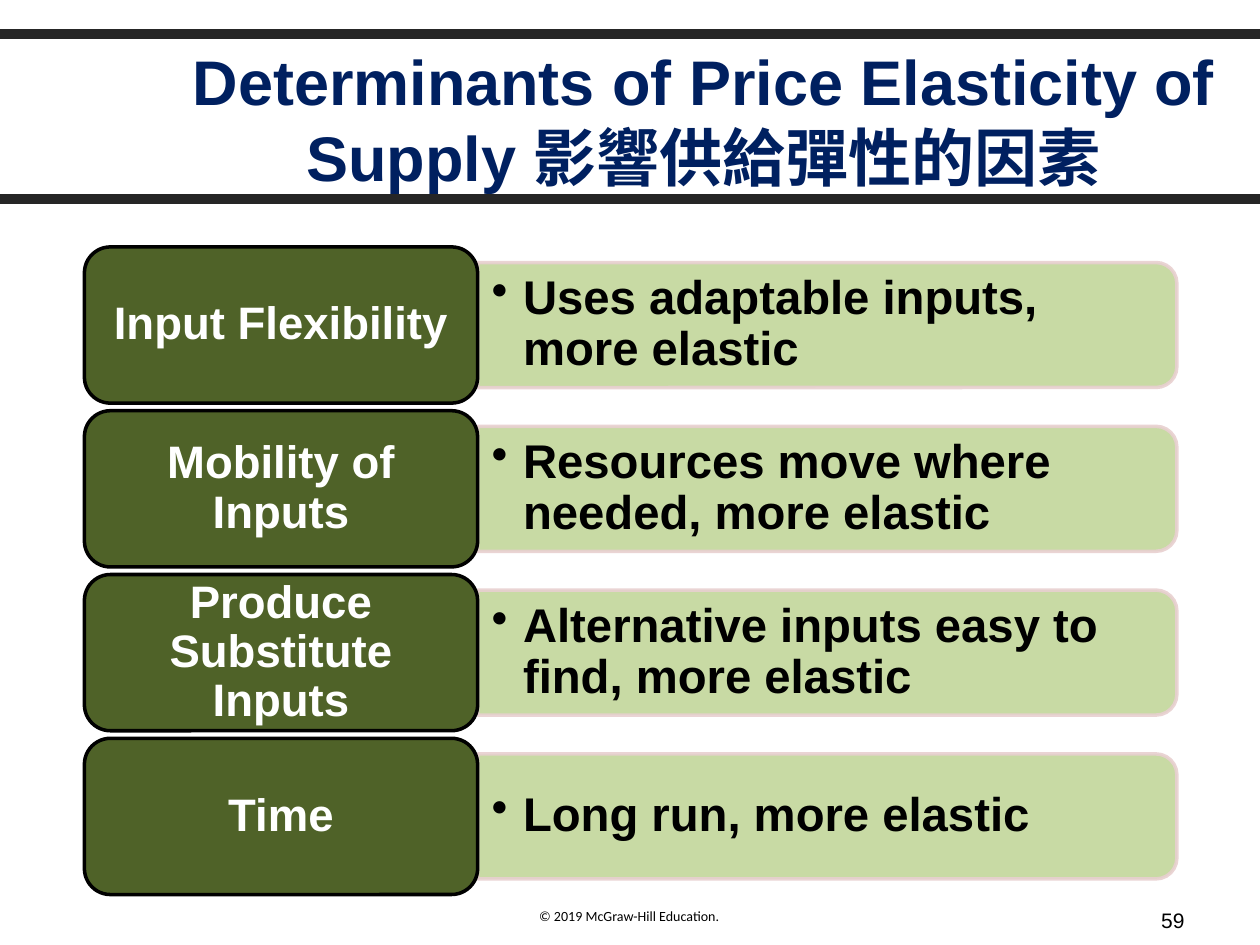
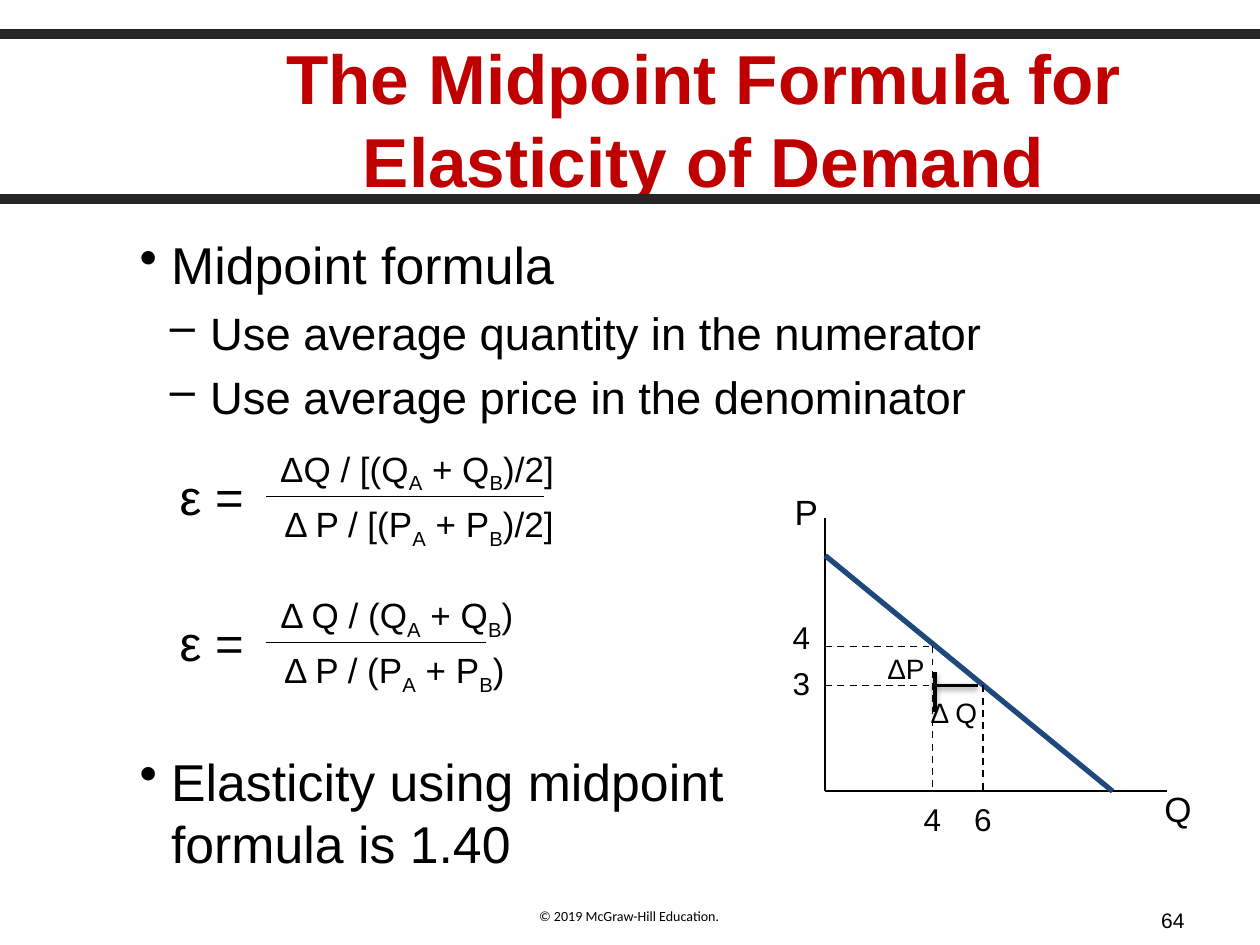
from lxml.etree import SubElement
from pptx import Presentation
from pptx.dml.color import RGBColor
from pptx.enum.dml import MSO_LINE
from pptx.enum.shapes import MSO_CONNECTOR, MSO_SHAPE
from pptx.enum.text import MSO_ANCHOR, MSO_AUTO_SIZE, PP_ALIGN
from pptx.oxml.ns import qn
from pptx.util import Inches, Pt

BLACK = "000000"
WHITE = "FFFFFF"
BAND = "262626"
NAVY = "002060"
RED = "C00000"
LABEL_GREEN = "4F6228"
PANEL_GREEN = "C3D69B"
PANEL_EDGE = "E8D0D0"
DEMAND_BLUE = "1F497D"
COPYRIGHT = "© 2019 McGraw-Hill Education."


def rgb(value):
    return RGBColor.from_string(value)


def style_font(paragraph, size, color=BLACK, bold=False, name="Arial"):
    font = paragraph.font
    font.name = name
    font.size = Pt(size)
    font.bold = bold
    font.color.rgb = rgb(color)


def add_bullet(paragraph, character, margin, hanging):
    properties = paragraph._p.get_or_add_pPr()
    properties.set("marL", str(Inches(margin)))
    properties.set("indent", str(-Inches(hanging)))
    SubElement(properties, qn("a:buChar")).set("char", character)


def set_insets(frame, horizontal, vertical):
    frame.margin_left = frame.margin_right = Inches(horizontal)
    frame.margin_top = frame.margin_bottom = Inches(vertical)


def add_text(slide, box, text, size, align=PP_ALIGN.CENTER, wrap=True,
             anchor=MSO_ANCHOR.TOP, name="Arial"):
    shape = slide.shapes.add_textbox(*map(Inches, box))
    frame = shape.text_frame
    frame.word_wrap = wrap
    frame.vertical_anchor = anchor
    paragraph = frame.paragraphs[0]
    paragraph.text = text
    paragraph.alignment = align
    style_font(paragraph, size, name=name)
    return paragraph


def add_line(slide, start, end, color=BLACK, width=1, dashed=False, shadow=False):
    line = slide.shapes.add_connector(
        MSO_CONNECTOR.STRAIGHT, *map(Inches, (*start, *end)))
    line.line.color.rgb = rgb(color)
    line.line.width = Pt(width)
    if dashed:
        line.line.dash_style = MSO_LINE.DASH
    effects = SubElement(line._element.spPr, qn("a:effectLst"))
    if shadow:
        outer = SubElement(effects, qn("a:outerShdw"), blurRad=str(Pt(3.1)),
                           dist=str(Pt(1.6)), dir="5400000", rotWithShape="0")
        tint = SubElement(outer, qn("a:srgbClr"), val=BLACK)
        SubElement(tint, qn("a:alpha"), val="38000")


def add_block(slide, kind, box, fill, edge):
    shape = slide.shapes.add_shape(kind, *map(Inches, box))
    shape.shadow.inherit = False
    shape.fill.solid()
    shape.fill.fore_color.rgb = rgb(fill)
    shape.line.color.rgb = rgb(edge)
    shape.line.width = Pt(2)
    return shape


def start_slide(presentation, title, color, size, number):
    slide = presentation.slides.add_slide(presentation.slide_layouts[5])
    for top in (1.58, 0.27):
        add_line(slide, (0, top), (10, top), BAND, 5.5)
    placeholder = slide.shapes.title
    placeholder.left, placeholder.top = Inches(1.17), Inches(0.3)
    placeholder.width, placeholder.height = Inches(8.83), Inches(1.28)
    frame = placeholder.text_frame
    frame.auto_size = MSO_AUTO_SIZE.NONE
    frame.word_wrap = True
    frame.vertical_anchor = MSO_ANCHOR.MIDDLE
    paragraph = frame.paragraphs[0]
    paragraph.text = title
    paragraph.alignment = PP_ALIGN.CENTER
    style_font(paragraph, size, color, bold=True)
    add_text(slide, (3.33, 7.15, 3.33, 0.35), COPYRIGHT, 8, name="Calibri")
    add_text(slide, (7.17, 7.1, 2.33, 0.4), str(number), 12,
             PP_ALIGN.RIGHT, anchor=MSO_ANCHOR.MIDDLE)
    return slide


def add_determinant(slide, box, label, effect):
    left, top, width, height = box
    label_width = 0.36 * width
    panel_left = left + label_width
    panel_width = width - label_width
    panel_height = 0.8 * height
    middle = top + height / 2

    panel = add_block(
        slide, MSO_SHAPE.ROUND_2_SAME_RECTANGLE,
        (panel_left + (panel_width - panel_height) / 2, middle - panel_width / 2,
         panel_height, panel_width), PANEL_GREEN, PANEL_EDGE)
    panel.rotation = 90
    for tint in list(panel._element.spPr.iter(qn("a:srgbClr"))):
        SubElement(tint, qn("a:alpha"), val="90000")

    text_height = 0.9
    shape = slide.shapes.add_textbox(
        *map(Inches, (panel_left, middle - text_height / 2,
                      panel_width - 0.05, text_height)))
    frame = shape.text_frame
    set_insets(frame, 0.11, 0.06)
    paragraph = frame.paragraphs[0]
    paragraph.text = effect
    add_bullet(paragraph, "•", 0.25, 0.25)
    style_font(paragraph, 27, bold=True)

    block = add_block(slide, MSO_SHAPE.ROUNDED_RECTANGLE,
                      (left, top, label_width, height), LABEL_GREEN, BLACK)
    set_insets(block.text_frame, 0.17, 0.05)
    heading = block.text_frame.paragraphs[0]
    heading.text = label
    heading.alignment = PP_ALIGN.CENTER
    style_font(heading, 26, WHITE, bold=True)

    for text_frame in (frame, block.text_frame):
        text_frame.word_wrap = True
        text_frame.vertical_anchor = MSO_ANCHOR.MIDDLE
        text_frame.paragraphs[0].line_spacing = 0.9


def build_determinants(presentation):
    slide = start_slide(
        presentation, "Determinants of Price Elasticity of Supply 影響供給彈性的因素",
        NAVY, 36, 59)
    determinants = [
        ("Input Flexibility", "Uses adaptable inputs, more elastic"),
        ("Mobility of Inputs", "Resources move where needed, more elastic"),
        ("Produce Substitute Inputs", "Alternative inputs easy to find, more elastic"),
        ("Time", "Long run, more elastic"),
    ]
    for row, (label, effect) in enumerate(determinants):
        add_determinant(slide, (0.67, 1.96 + 1.3 * row, 8.67, 1.24), label, effect)


def add_bullets(slide, box, items):
    shape = slide.shapes.add_textbox(*map(Inches, box))
    frame = shape.text_frame
    frame.word_wrap = True
    for index, (level, text) in enumerate(items):
        paragraph = frame.paragraphs[0] if index == 0 else frame.add_paragraph()
        paragraph.text = text
        if level:
            add_bullet(paragraph, "–", 0.56, 0.32)
        else:
            add_bullet(paragraph, "•", 0.25, 0.25)
        if index:
            paragraph.space_before = Pt(5.5)
        style_font(paragraph, 25.9 if level else 29.6)


def add_expression(slide, box, variable, gap, opening, closing):
    paragraph = add_text(slide, box, "", 20, wrap=False)
    pieces = [f"Δ{gap}{variable} / {opening}{variable}", "A", f" + {variable}", "B", closing]
    for index, piece in enumerate(pieces):
        run = paragraph.add_run()
        run.text = piece
        if index % 2:
            run._r.get_or_add_rPr().set("baseline", "-25000")


def add_formula(slide, left, top, numerator_width, denominator_width, bar_width,
                gap, opening, closing):
    bar_left, bar_top = left + 0.79, top + 0.44
    add_expression(slide, (bar_left, top, numerator_width, 0.44),
                   "Q", gap, opening, closing)
    add_expression(slide, (bar_left + 0.04, bar_top, denominator_width, 0.44),
                   "P", " ", opening, closing)
    add_line(slide, (bar_left, bar_top), (bar_left + bar_width, bar_top), width=0.75)
    add_text(slide, (left, top + 0.15, 0.72, 0.57), "ε =", 28, wrap=False)


def add_demand_graph(slide, left, top):
    axis_x, axis_y = left + 0.36, top + 2.44
    quantity_a, quantity_b = axis_x + 0.85, axis_x + 1.25
    price_a, price_b = top + 1.29, top + 1.6

    add_line(slide, (axis_x, top + 0.27), (axis_x, axis_y))
    add_line(slide, (axis_x, axis_y), (axis_x + 2.71, axis_y))
    add_line(slide, (axis_x, top + 0.57), (axis_x + 2.28, axis_y), DEMAND_BLUE, 3)
    for quantity, price in ((quantity_a, price_a), (quantity_b, price_b)):
        add_line(slide, (axis_x, price), (quantity, price), dashed=True)
        add_line(slide, (quantity, price), (quantity, axis_y), dashed=True)
    add_line(slide, (quantity_a, price_b), (quantity_b - 0.04, price_b),
             width=2, shadow=True)
    add_line(slide, (quantity_a + 0.02, price_b + 0.21),
             (quantity_a + 0.02, price_b - 0.11), width=2, shadow=True)

    labels = [
        ("P", 20, left + 0.21, top),
        ("Q", 20, left + 3.16, top + 2.36),
        ("ΔP", 16, left + 1, top + 1.28),
        ("Δ Q", 16, left + 1.38, top + 1.63),
        ("4", 18, left + 0.17, top + 1.02),
        ("3", 18, left + 0.17, top + 1.38),
        ("4", 18, quantity_a, axis_y + 0.02),
        ("6", 18, quantity_b, axis_y + 0.02),
    ]
    for text, size, center, label_top in labels:
        add_text(slide, (center - 0.3, label_top, 0.6, 0.4), text, size, wrap=False)


def build_midpoint(presentation):
    slide = start_slide(
        presentation, "The Midpoint Formula for Elasticity of Demand", RED, 39.6, 64)
    add_bullets(slide, (1.01, 1.8, 8.49, 1.6), [
        (0, "Midpoint formula"),
        (1, "Use average quantity in the numerator"),
        (1, "Use average price in the denominator"),
    ])
    add_formula(slide, 1.32, 3.5, 2.4, 2.35, 2.21, "", "[(", ")/2]")
    add_formula(slide, 1.32, 4.66, 2.08, 1.96, 1.75, " ", "(", ")")
    add_demand_graph(slide, 6.19, 3.84)
    add_bullets(slide, (1.01, 5.9, 5.2, 1.05),
                [(0, "Elasticity using midpoint\vformula is 1.40")])


def main():
    presentation = Presentation()
    presentation.slide_width = Inches(10)
    presentation.slide_height = Inches(7.5)
    build_determinants(presentation)
    build_midpoint(presentation)
    presentation.save("out.pptx")


if __name__ == "__main__":
    main()
